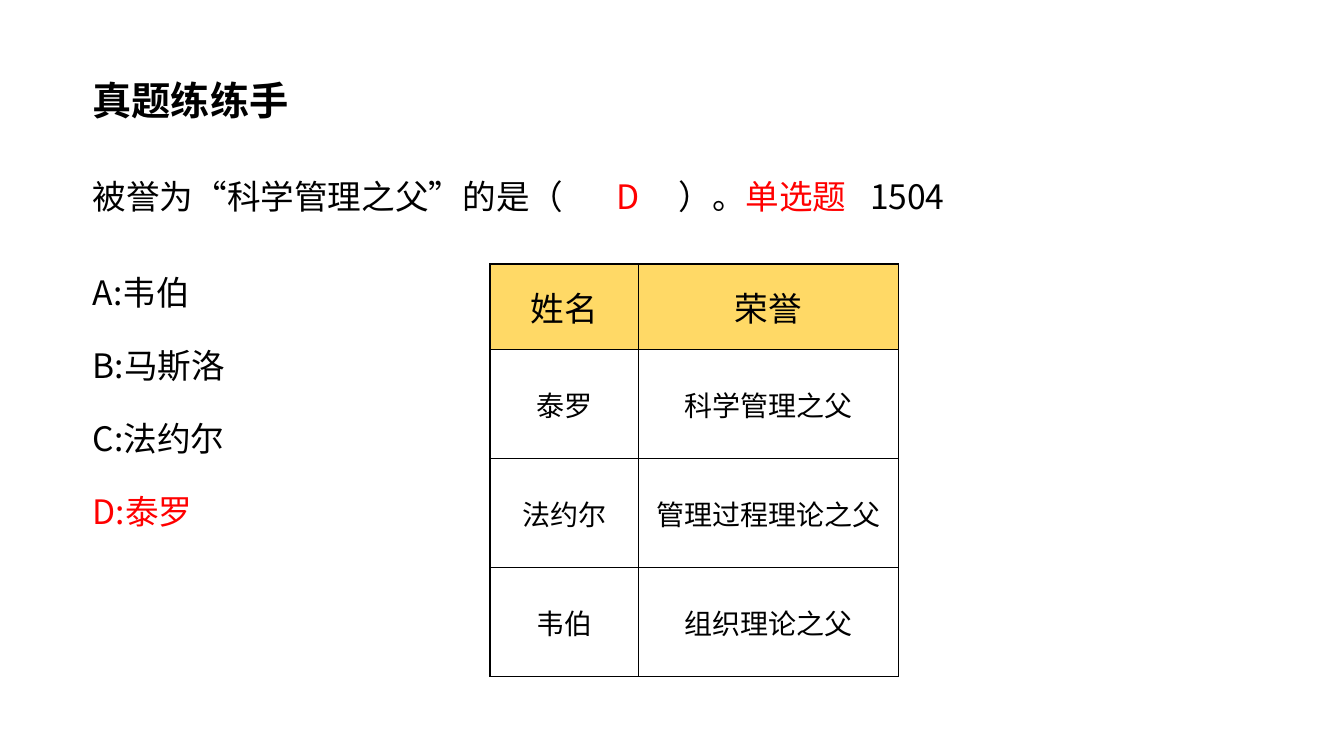
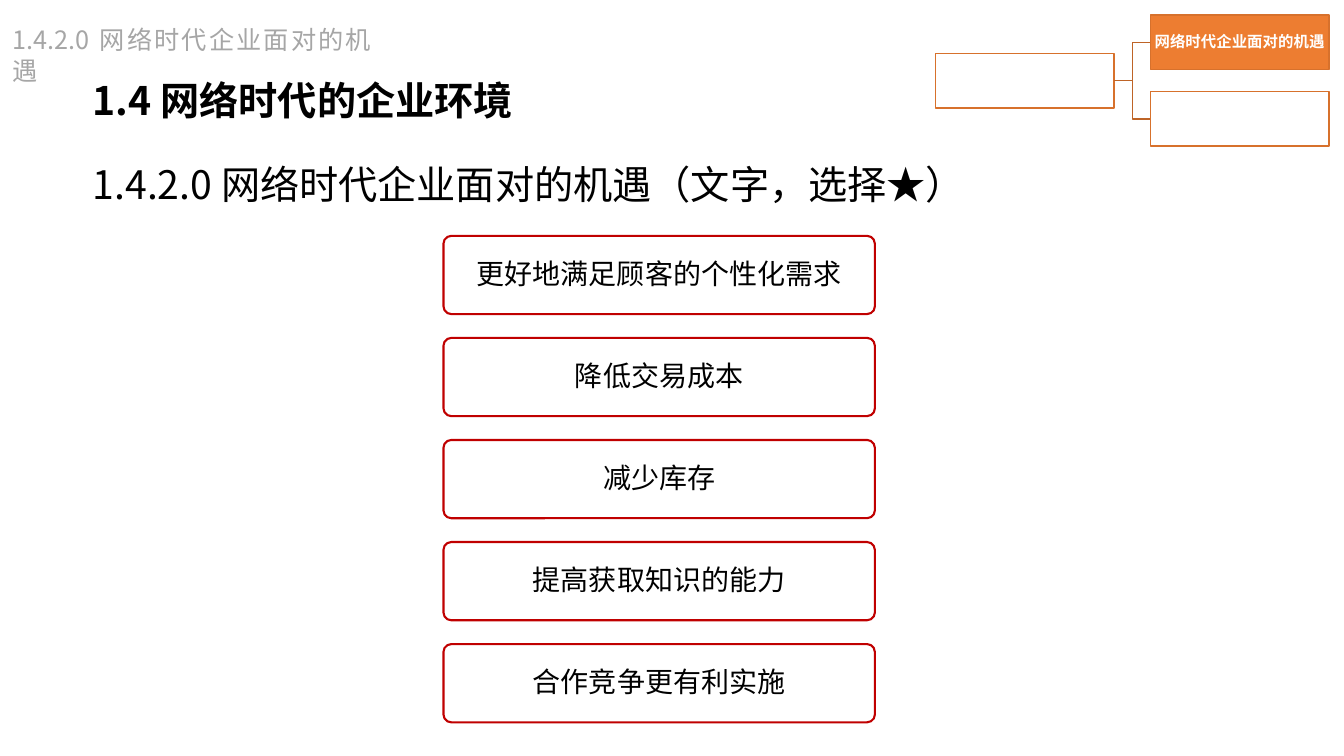
from lxml.etree import SubElement
from pptx import Presentation
from pptx.dml.color import RGBColor
from pptx.enum.shapes import MSO_CONNECTOR as CONN, MSO_SHAPE as SHAPE
from pptx.enum.text import MSO_ANCHOR as ANCHOR, PP_ALIGN as ALIGN
from pptx.oxml.ns import qn
from pptx.util import Inches, Pt

BLACK, RED, WHITE, GRAY = "000000", "FF0000", "FFFFFF", "A6A6A6"
GOLD, ORANGE, RUST, BROWN, CRIMSON = "FFD966", "ED7D31", "D7712C", "BE6427", "C00000"
SANS, TABLE_SANS = "Noto Sans CJK SC", "Noto Sans CJK JP"
rgb = RGBColor.from_string

prs = Presentation()
prs.slide_width, prs.slide_height = Inches(13.33), Inches(7.5)
blank = prs.slide_layouts[6]


def grid(x, y, w, h):
    col, row = prs.slide_width / 100, prs.slide_height / 100
    return [int(v) for v in (x * col, y * row, w * col, h * row)]


def style(tf, size, color=BLACK, bold=False, align=ALIGN.LEFT, spacing=None,
          anchor=ANCHOR.TOP, margins=(0.12, 0.06), font=SANS):
    tf.word_wrap = True
    tf.vertical_anchor = anchor
    tf.margin_left = tf.margin_right = Inches(margins[0])
    tf.margin_top = tf.margin_bottom = Inches(margins[1])
    for p in tf.paragraphs:
        p.alignment = align
        p.line_spacing = spacing
        for r in p.runs:
            r.font.size, r.font.bold, r.font.name = Pt(size), bold, font
            r.font.color.rgb = rgb(color)
            SubElement(r._r.get_or_add_rPr(), qn("a:ea"), typeface=font)


slides = []
for title in ["真题练练手", "1.4 网络时代的企业环境"]:
    s = prs.slides.add_slide(blank)
    s.background.fill.solid()
    s.background.fill.fore_color.rgb = rgb(WHITE)
    tf = s.shapes.add_textbox(*grid(6, 8.67, 85.9, 7.87)).text_frame
    tf.text = title
    style(tf, 28, bold=True, spacing=Pt(37))
    slides.append(s)
quiz, topic = slides

tf = quiz.shapes.add_textbox(*grid(6, 19.6, 85.9, 73.47)).text_frame
p = tf.paragraphs[0]
for text in ["被誉为“科学管理之父”的是（\t", "D", "\t）。", "单选题", "\t1504"]:
    p.add_run().text = text
for option in ["A:韦伯", "B:马斯洛", "C:法约尔", "D:泰罗"]:
    tf.add_paragraph().text = option
tabs = SubElement(p._p.get_or_add_pPr(), qn("a:tabLst"))
for stop in [5.2, 5.81, 7.71]:
    SubElement(tabs, qn("a:tab"), pos=str(Inches(stop)), algn="l")
style(tf, 24, spacing=Pt(26))
p.line_spacing = Pt(44)
for i, option in enumerate(tf.paragraphs[1:]):
    option.space_before = Pt(26 if i else 43)
for r in [p.runs[1], p.runs[3], tf.paragraphs[-1].runs[0]]:
    r.font.color.rgb = rgb(RED)

honours = [
    ("姓名", "荣誉"),
    ("泰罗", "科学管理之父"),
    ("法约尔", "管理过程理论之父"),
    ("韦伯", "组织理论之父"),
]
frame = quiz.shapes.add_table(4, 2, *grid(36.46, 34.93, 30.38, 54.53))
table = frame.table
table.first_row = table.horz_banding = False
for column, share in zip(table.columns, [11.03, 19.35]):
    column.width = int(prs.slide_width * share / 100)
for i, names in enumerate(honours):
    table.rows[i].height = int(prs.slide_height * (14.4 if i else 11.33) / 100)
    for j, name in enumerate(names):
        cell = table.cell(i, j)
        cell.text = name
        style(cell.text_frame, 20 if i else 24, align=ALIGN.CENTER, font=TABLE_SANS)
        cell.vertical_anchor = ANCHOR.MIDDLE
        cell.margin_left = cell.margin_right = Inches(0.1)
        cell.margin_top = cell.margin_bottom = Inches(0.05)
        tcPr = cell._tc.get_or_add_tcPr()
        for side in ["lnL", "lnR", "lnT", "lnB"]:
            ln = SubElement(tcPr, qn("a:" + side), w=str(Pt(1)))
            SubElement(SubElement(ln, qn("a:solidFill")), qn("a:srgbClr"), val=BLACK)
        if i:
            cell.fill.background()
        else:
            cell.fill.solid()
            cell.fill.fore_color.rgb = rgb(GOLD)

tf = topic.shapes.add_textbox(*grid(0.23, 2.53, 28.13, 5.33)).text_frame
tf.text = "1.4.2.0 网络时代企业面对的机遇"
style(tf, 18, GRAY, align=ALIGN.JUSTIFY, spacing=Pt(22), margins=(0.1, 0.05))

tf = topic.shapes.add_textbox(*grid(6, 15.33, 91.2, 13.87)).text_frame
tf.text = "1.4.2.0 网络时代企业面对的机遇（文字，选择★）"
style(tf, 28, spacing=Pt(56), anchor=ANCHOR.MIDDLE)

nodes = []
for x, y, fill, text in [
    (69.62, 7.07, WHITE, ""),
    (85.6, 2, ORANGE, "网络时代企业面对的机遇"),
    (85.6, 12.13, WHITE, ""),
]:
    sp = topic.shapes.add_shape(SHAPE.RECTANGLE, *grid(x, y, 13.28, 7.2))
    sp.shadow.inherit = False
    sp.fill.solid()
    sp.fill.fore_color.rgb = rgb(fill)
    sp.line.color.rgb, sp.line.width = rgb(RUST), Pt(1)
    if text:
        sp.text_frame.text = text
        style(sp.text_frame, 11, WHITE, True, ALIGN.CENTER, 0.9, ANCHOR.MIDDLE, (0.01, 0.01))
    nodes.append(sp)

root, *children = nodes
for child in children:
    link = topic.shapes.add_connector(CONN.ELBOW, 0, 0, 0, 0)
    link.begin_connect(root, 3)
    link.end_connect(child, 1)
    link.line.color.rgb, link.line.width = rgb(BROWN), Pt(1)
    SubElement(link._element.spPr, qn("a:effectLst"))

benefits = ["更好地满足顾客的个性化需求", "降低交易成本", "减少库存",
            "提高获取知识的能力", "合作竞争更有利实施"]
for i, benefit in enumerate(benefits):
    sp = topic.shapes.add_shape(SHAPE.ROUNDED_RECTANGLE, *grid(33, 31.2 + 13.5 * i, 32.1, 10.35))
    sp.adjustments[0] = 0.1
    sp.shadow.inherit = False
    sp.fill.background()
    sp.line.color.rgb, sp.line.width = rgb(CRIMSON), Pt(1.5)
    sp.text_frame.text = benefit
    style(sp.text_frame, 20, align=ALIGN.CENTER, spacing=0.9, anchor=ANCHOR.MIDDLE, margins=(0.03, 0.03))

prs.save("out.pptx")
